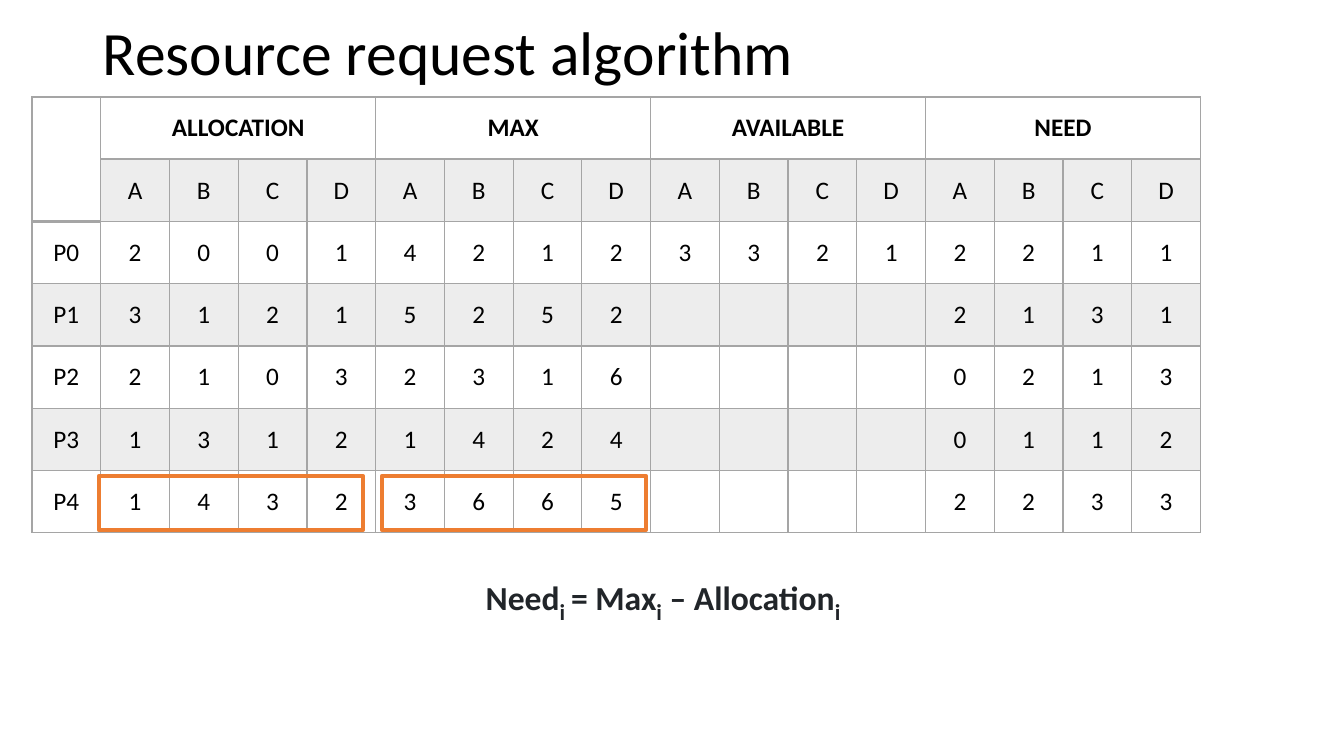
from lxml import etree
from pptx import Presentation
from pptx import util as u
from pptx.dml.color import RGBColor
from pptx.enum import shapes, text
from pptx.oxml import ns

BLACK = RGBColor(0, 0, 0)
INK = RGBColor(0x21, 0x25, 0x29)
WHITE = RGBColor(0xFF, 0xFF, 0xFF)
BAND = RGBColor(0xED, 0xED, 0xED)
GRID = RGBColor(0xA5, 0xA5, 0xA5)
ORANGE = RGBColor(0xED, 0x7D, 0x31)

FONT = "Calibri"
GROUPS = ["ALLOCATION", "MAX", "AVAILABLE", "NEED"]
RESOURCES = ["A", "B", "C", "D"]
ALLOCATION = [(2, 0, 0, 1), (3, 1, 2, 1), (2, 1, 0, 3), (1, 3, 1, 2), (1, 4, 3, 2)]
MAXIMUM = [(4, 2, 1, 2), (5, 2, 5, 2), (2, 3, 1, 6), (1, 4, 2, 4), (3, 6, 6, 5)]
AVAILABLE = [(3, 3, 2, 1)] + [("",) * 4] * 4


def px(length):
    return u.Emu(round(length * 914400 / 100.8))


def set_border(cell, side, points):
    line = etree.SubElement(cell._tc.get_or_add_tcPr(), ns.qn("a:" + side), w=str(u.Pt(points)))
    fill = etree.SubElement(line, ns.qn("a:solidFill"))
    etree.SubElement(fill, ns.qn("a:srgbClr"), val=str(GRID))


presentation = Presentation()
presentation.slide_width = px(1344)
presentation.slide_height = px(756)
slide = presentation.slides.add_slide(presentation.slide_layouts[6])

title = slide.shapes.add_textbox(px(93), px(15), px(1159), px(82)).text_frame
title.word_wrap = True
title.vertical_anchor = text.MSO_ANCHOR.MIDDLE
paragraph = title.paragraphs[0]
paragraph.text = "Resource request algorithm"
paragraph.line_spacing = 0.9
paragraph.font.name = FONT
paragraph.font.size = u.Pt(44)
paragraph.font.color.rgb = BLACK

rows = [[""], [""] + RESOURCES * len(GROUPS)]
for group in GROUPS:
    rows[0] += [group, "", "", ""]
for number, (held, limit, free) in enumerate(zip(ALLOCATION, MAXIMUM, AVAILABLE)):
    need = [most - used for most, used in zip(limit, held)]
    rows.append([f"P{number}", *held, *limit, *free, *need])

table = slide.shapes.add_table(len(rows), len(rows[0]), px(32), px(97), px(1169), px(436)).table
table.first_row = False
table.horz_banding = False
for row, values in enumerate(rows):
    for column, value in enumerate(values):
        cell = table.cell(row, column)
        cell.vertical_anchor = text.MSO_ANCHOR.MIDDLE
        above_rule = row == 0 or (row == 1 and column == 0)
        below_rule = (row == 1 and column > 0) or (row == 2 and column == 0)
        set_border(cell, "lnL", 1)
        set_border(cell, "lnR", 1)
        set_border(cell, "lnT", 2 if below_rule else 1)
        set_border(cell, "lnB", 2 if above_rule else 1)
        cell.fill.solid()
        cell.fill.fore_color.rgb = BAND if row % 2 and not above_rule else WHITE
        paragraph = cell.text_frame.paragraphs[0]
        paragraph.text = str(value)
        paragraph.alignment = text.PP_ALIGN.CENTER
        paragraph.font.name = FONT
        paragraph.font.size = u.Pt(18)
        paragraph.font.bold = row == 0
        paragraph.font.color.rgb = BLACK

table.cell(0, 0).merge(table.cell(1, 0))
for first in range(1, len(rows[0]), len(RESOURCES)):
    table.cell(0, first).merge(table.cell(0, first + len(RESOURCES) - 1))

formula = slide.shapes.add_textbox(px(35), px(561), px(1256), px(50)).text_frame
formula.word_wrap = True
paragraph = formula.paragraphs[0]
paragraph.alignment = text.PP_ALIGN.CENTER
paragraph.font.name = FONT
paragraph.font.bold = True
paragraph.font.color.rgb = INK
for words, size, lowered in [
    ("Need", 24, False),
    ("i", 28, True),
    (" ", 32, True),
    ("= Max", 24, False),
    ("i", 28, True),
    (" – Allocation", 24, False),
    ("i", 28, True),
]:
    run = paragraph.add_run()
    run.text = words
    run.font.size = u.Pt(size)
    if lowered:
        run.font._element.set("baseline", "-25000")

for left in (382, 99):
    shape = slide.shapes.add_shape(shapes.MSO_SHAPE.RECTANGLE, px(left), px(476), px(264), px(54))
    shape.shadow.inherit = False
    shape.fill.background()
    shape.line.color.rgb = ORANGE
    shape.line.width = u.Pt(3)

presentation.save("out.pptx")
